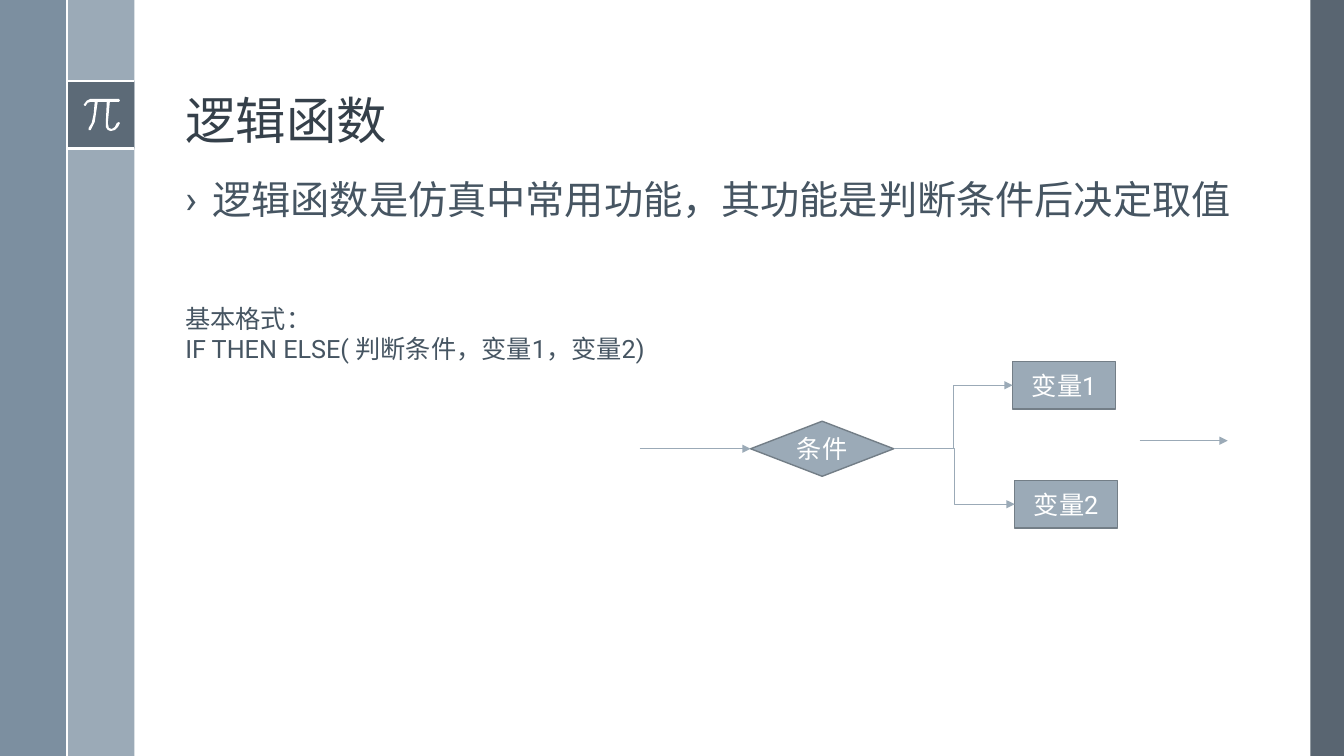
from pptx import Presentation
from pptx.dml.color import RGBColor
from pptx.enum.shapes import MSO_CONNECTOR, MSO_SHAPE
from pptx.enum.text import MSO_ANCHOR, MSO_AUTO_SIZE, PP_ALIGN
from pptx.oxml.ns import qn
from pptx.util import Inches, Pt
from lxml.etree import SubElement

WIDE, HIGH = 13.33, 7.5
CELL = WIDE / 20  # the grid has 20 square columns
ROWS = HIGH / CELL
HUES = {"dark": "475562", "mid": "6A8093", "pale": "9BAAB7", "edge": "737E87",
        "white": "FFFFFF", "title": "35404A", "text": "465562"}
CJK, LATIN = "Noto Sans CJK SC", "Roboto"
# Outline of the pi sign, in hundredths of an inch
PI_SIGN = [(118, 98), (90, 98), (86, 100), (83, 104), (84, 105), (85, 105),
           (87, 102), (90, 101), (94, 101), (93, 113), (91, 122), (88, 127),
           (88, 129), (90, 129), (94, 121), (97, 101), (106, 101), (105, 122),
           (105, 126), (107, 129), (110, 130), (114, 129), (117, 126),
           (119, 122), (118, 121), (116, 122), (114, 126), (111, 128),
           (108, 127), (107, 122), (109, 101), (118, 101), (119, 100)]


def hue(name):
    return RGBColor.from_string(HUES[name])


def grid(*cells):
    return [Inches(n * CELL) for n in cells]


def paint(shape, fill, alpha=100, edge=None):
    shape.shadow.inherit = False
    shape.fill.solid()
    shape.fill.fore_color.rgb = hue(fill)
    if alpha < 100:
        tint = shape.fill._xPr.find(qn("a:solidFill"))[0]
        SubElement(tint, qn("a:alpha"), val=str(alpha * 1000))
    if edge:
        shape.line.color.rgb = hue(edge)
        shape.line.width = Pt(1)
    else:
        shape.line.fill.background()


def block(slide, kind, box, fill, alpha=100, edge=None):
    shape = slide.shapes.add_shape(kind, *grid(*box))
    paint(shape, fill, alpha, edge)
    return shape


def link(slide, ends, color, width, arrow=False, kind=MSO_CONNECTOR.STRAIGHT):
    line = slide.shapes.add_connector(kind, *grid(*ends))
    line.line.color.rgb = hue(color)
    line.line.width = Pt(width)
    if arrow:
        SubElement(line.line._get_or_add_ln(), qn("a:tailEnd"), type="triangle")
    SubElement(line._element.spPr, qn("a:effectLst"))
    return line


def write(para, text, size, color, font):
    run = para.add_run()
    run.text = text
    run.font.size = Pt(size)
    run.font.color.rgb = hue(color)
    run.font.name = font
    SubElement(run.font._element, qn("a:ea"), typeface=CJK)


def side(slide, box):
    """Rails at both edges, with the badge and its rules."""
    x, y, w, h = box
    badge = y + 1.21
    bars = [((x + w - 0.5, y, 0.5, h), "dark", 90),
            ((x + 1, y, 1, h), "pale", 100),
            ((x, y, 1, h), "mid", 88),
            ((x + 1, badge, 1, 1), "dark", 75)]
    for bar, fill, alpha in bars:
        block(slide, MSO_SHAPE.RECTANGLE, bar, fill, alpha)
    for rule in (badge, badge + 1):
        link(slide, (x + 1, rule, x + 2, rule), "white", 1.5)
    # Pi sign in the badge
    pen = slide.shapes.build_freeform(*PI_SIGN[0], scale=Inches(1) / 100)
    pen.add_line_segments(PI_SIGN[1:], close=True)
    paint(pen.convert_to_shape(*grid(x, y)), "white")
    link(slide, (x + 1, y, x + 1, y + h), "white", 1.5)


def head(slide, box):
    """Slide title."""
    title = slide.shapes.title
    title.left, title.top, title.width, title.height = grid(*box)
    frame = title.text_frame
    frame.auto_size = MSO_AUTO_SIZE.NONE
    frame.vertical_anchor = MSO_ANCHOR.BOTTOM
    para = frame.paragraphs[0]
    para.alignment = PP_ALIGN.LEFT
    para.line_spacing = 0.9
    write(para, "逻辑函数", 36, "title", CJK)


def body(slide, box):
    """Bulleted statement."""
    frame = slide.shapes.add_textbox(*grid(*box)).text_frame
    frame.word_wrap = True
    para = frame.paragraphs[0]
    para.line_spacing = 0.9
    props = para._p.get_or_add_pPr()
    props.set("marL", str(Inches(0.27)))
    props.set("indent", str(-Inches(0.27)))
    SubElement(props, qn("a:buFont"), typeface=LATIN)
    SubElement(props, qn("a:buChar"), char="›")
    write(para, "逻辑函数是仿真中常用功能，其功能是判断条件后决定取值",
          28, "text", CJK)


def note(slide, box):
    """Syntax of the function."""
    frame = slide.shapes.add_textbox(*grid(*box)).text_frame
    frame.word_wrap = True
    lines = ["基本格式：", "IF THEN ELSE( 判断条件，变量1，变量2)"]
    for i, text in enumerate(lines):
        para = frame.add_paragraph() if i else frame.paragraphs[0]
        write(para, text, 18, "text", LATIN)


def node(slide, kind, box, text):
    shape = block(slide, kind, box, "pale", edge="edge")
    frame = shape.text_frame
    frame.word_wrap = True
    frame.vertical_anchor = MSO_ANCHOR.MIDDLE
    para = frame.paragraphs[0]
    para.alignment = PP_ALIGN.CENTER
    write(para, text, 18, "white", LATIN)
    return shape


def flow(slide, box):
    """Test that leads to one of two values."""
    x, y, w, h = box
    mid = y + 1.3
    link(slide, (x, mid, x + 1.65, mid), "pale", 0.5, True)
    test = node(slide, MSO_SHAPE.FLOWCHART_DECISION,
                (x + 1.65, mid - 0.41, 2.13, 0.82), "条件")
    tall = 0.71
    picks = [(x + 5.55, y, "变量1"), (x + 5.58, y + h - tall, "变量2")]
    for left, top, text in picks:
        pick = node(slide, MSO_SHAPE.RECTANGLE, (left, top, 1.53, tall), text)
        bend = link(slide, (x + 3.78, mid, left, top + tall / 2),
                    "pale", 0.5, True, MSO_CONNECTOR.ELBOW)
        bend.begin_connect(test, 3)
        bend.end_connect(pick, 1)
    link(slide, (x + w - 1.31, y + 1.18, x + w, y + 1.18), "pale", 0.5, True)


def main():
    deck = Presentation()
    deck.slide_width, deck.slide_height = Inches(WIDE), Inches(HIGH)
    slide = deck.slides.add_slide(deck.slide_layouts[5])
    left = 2.61
    side(slide, (0, 0, 20, ROWS))
    head(slide, (left, 0.28, 16.05, 2.04))
    body(slide, (left, 2.62, 16.05, 7.5))
    note(slide, (left, 4.44, 7.17, 1.07))
    flow(slide, (9.52, 5.38, 8.75, 2.48))
    deck.save("out.pptx")


if __name__ == "__main__":
    main()
